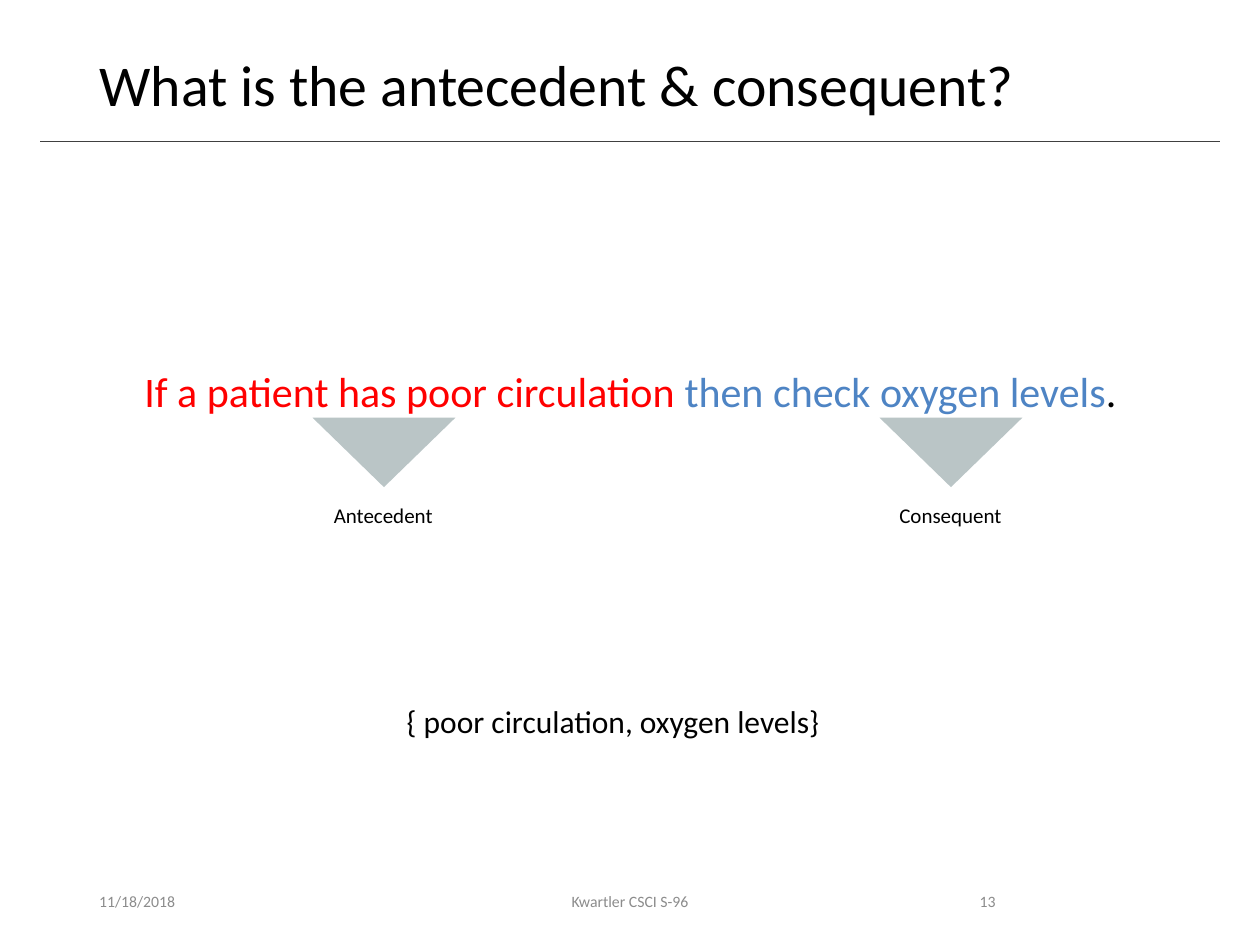
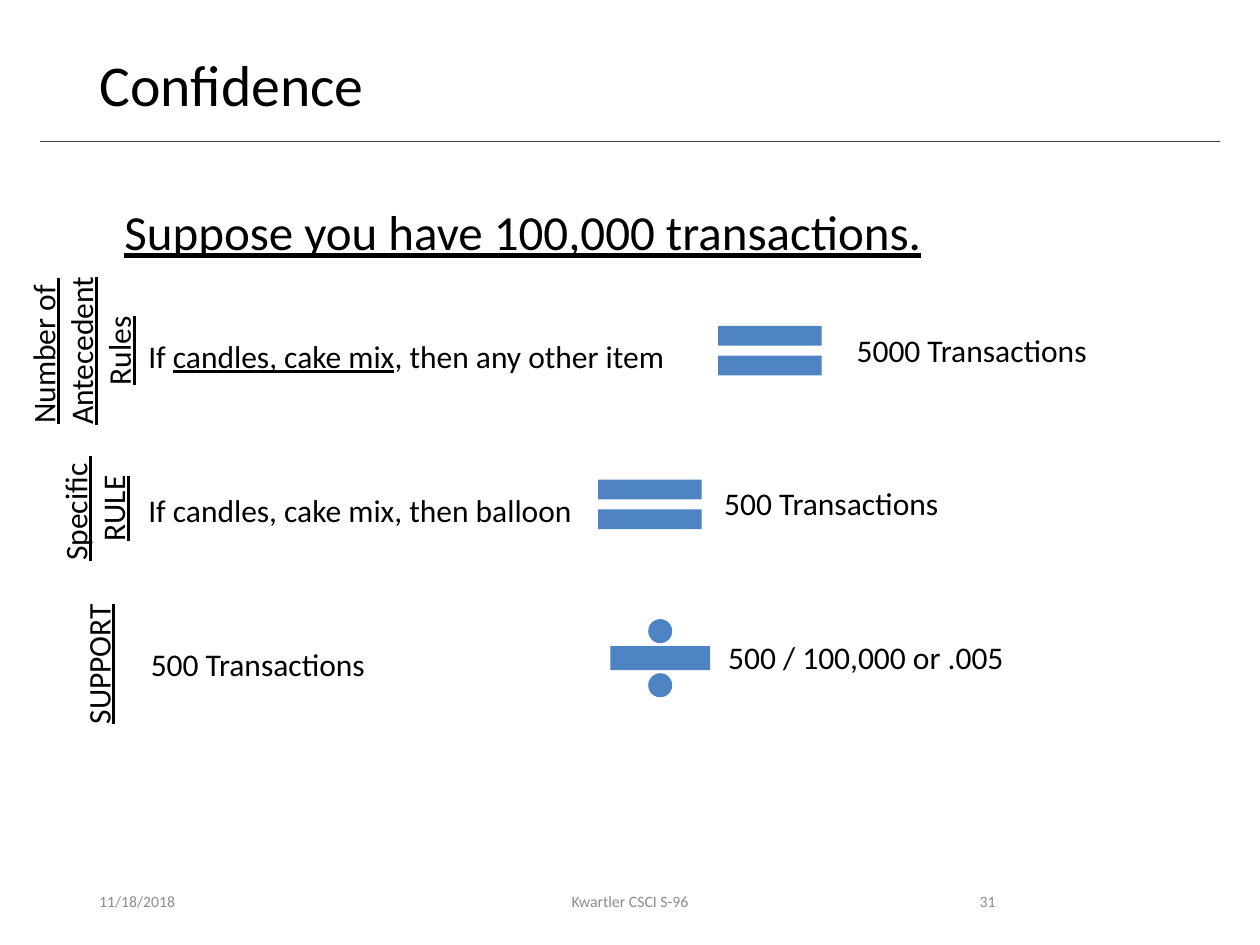
from lxml import etree
from pptx import Presentation
from pptx.dml.color import RGBColor
from pptx.enum.shapes import MSO_CONNECTOR, MSO_SHAPE
from pptx.enum.text import MSO_ANCHOR, PP_ALIGN
from pptx.oxml.ns import qn
from pptx.util import Cm, Pt

LEFT, CENTER, RIGHT = PP_ALIGN.LEFT, PP_ALIGN.CENTER, PP_ALIGN.RIGHT
TOP, MIDDLE = MSO_ANCHOR.TOP, MSO_ANCHOR.MIDDLE
TRIANGLE = MSO_SHAPE.ISOSCELES_TRIANGLE
EQUALS, DIVIDE = MSO_SHAPE.MATH_EQUAL, MSO_SHAPE.MATH_DIVIDE

BLACK = RGBColor(0x00, 0x00, 0x00)
RED = RGBColor(0xFF, 0x00, 0x00)
BLUE = RGBColor(0x4E, 0x84, 0xC4)
PALE_GRAY = RGBColor(0xBA, 0xC5, 0xC6)
FOOTER_GRAY = RGBColor(0x8C, 0x8C, 0x8C)
RULE_GRAY = RGBColor(0x40, 0x40, 0x40)
FONT = "Calibri"

SLIDE_WIDTH, SLIDE_HEIGHT = 25.4, 19.05
MARGIN, RULE_MARGIN, RULE_TOP = 1.75, 0.81, 2.85
TITLE_BOX = (MARGIN, 1.02, 21.9, 1.65)
FOOTER_TOP, LINE_HEIGHT = 17.65, 1.02

DATE, COURSE = "11/18/2018", "Kwartler CSCI S-96"

RULE_SENTENCE = [
    ("If a patient has poor circulation ", RED, False),
    ("then check oxygen levels", BLUE, False),
    (".", BLACK, False),
]
ITEM_SET = "{ poor circulation, oxygen levels}"
CALLOUTS = [("Antecedent", 7.74, 6.48, 2.51), ("Consequent", 19.17, 17.88, 2.59)]

PREMISE = "Suppose you have 100,000 transactions."
FIRST_ROW, ROW_PITCH = 7.05, 3.1
ROWS = [
    {
        "label": ["Number of ", "Antecedent", "Rules"],
        "label_box": (1.64, 7.07, 3.53, 2.57),
        "statement": [("If ", BLACK, False), ("candles, cake mix", BLACK, True),
                      (", then any other item", BLACK, False)],
        "statement_span": (2.74, 11.05),
        "symbol": (EQUALS, 14.1, 2.84, 1.7),
        "result": ("5000 Transactions", 17.02, 5.21),
    },
    {
        "label": ["Specific ", "RULE"],
        "label_box": (1.9, 10.25, 2.64, 1.8),
        "statement": [("If candles, cake mix, then balloon", BLACK, False)],
        "statement_span": (2.74, 9.14),
        "symbol": (EQUALS, 11.68, 2.84, 1.7),
        "result": ("500 Transactions", 14.35, 4.88),
    },
    {
        "label": ["SUPPORT"],
        "label_box": (1.98, 13.39, 2.95, LINE_HEIGHT),
        "statement": [("500 Transactions", BLACK, False)],
        "statement_span": (2.79, 5.03),
        "symbol": (DIVIDE, 11.94, 2.74, 2.06),
        "result": ("500 / 100,000 or .005", 14.43, 6.12),
    },
]


def plain(text, color=BLACK, underline=False):
    """Return a paragraph made of one run."""
    return [(text, color, underline)]


def add_text(shapes, box, paragraphs, size, align=LEFT, anchor=TOP, wrap=False):
    """Add a text box holding paragraphs of (text, color, underline) runs."""
    shape = shapes.add_textbox(*map(Cm, box))
    frame = shape.text_frame
    frame.word_wrap = wrap
    frame.vertical_anchor = anchor
    for index, runs in enumerate(paragraphs):
        paragraph = frame.add_paragraph() if index else frame.paragraphs[0]
        paragraph.alignment = align
        for text, color, underline in runs:
            run = paragraph.add_run()
            run.text = text
            run.font.name = FONT
            run.font.size = Pt(size)
            run.font.color.rgb = color
            run.font.underline = underline
    return shape


def add_solid(shapes, kind, box, color):
    """Add a flat filled shape without outline."""
    shape = shapes.add_shape(kind, *map(Cm, box))
    shape.shadow.inherit = False
    shape.fill.solid()
    shape.fill.fore_color.rgb = color
    shape.line.fill.background()
    return shape


def add_base_slide(presentation, title, number):
    """Add a slide with its title, rule and footers."""
    slide = presentation.slides.add_slide(presentation.slide_layouts[5])
    rule = slide.shapes.add_connector(
        MSO_CONNECTOR.STRAIGHT, Cm(RULE_MARGIN), Cm(RULE_TOP),
        Cm(SLIDE_WIDTH - RULE_MARGIN), Cm(RULE_TOP))
    rule.line.color.rgb = RULE_GRAY
    rule.line.width = Pt(0.5)
    etree.SubElement(rule._element.spPr, qn("a:effectLst"))

    heading = slide.shapes.title
    heading.left, heading.top, heading.width, heading.height = map(Cm, TITLE_BOX)
    heading.text_frame.text = title
    heading.text_frame.vertical_anchor = TOP
    paragraph = heading.text_frame.paragraphs[0]
    paragraph.alignment = LEFT
    paragraph.line_spacing = 0.9
    font = paragraph.runs[0].font
    font.name, font.size = FONT, Pt(33)
    font.color.rgb = BLACK

    footers = [(DATE, MARGIN, 5.72, LEFT), (COURSE, 8.41, 8.58, CENTER),
               (str(number), 17.93, 2.39, RIGHT)]
    for text, left, width, align in footers:
        add_text(slide.shapes, (left, FOOTER_TOP, width, LINE_HEIGHT),
                 [plain(text, FOOTER_GRAY)], 9, align, MIDDLE, True)
    return slide


def build_rule_slide(presentation):
    """Build the slide naming both parts of a rule."""
    slide = add_base_slide(presentation, "What is the antecedent & consequent?", 13)
    add_text(slide.shapes, (MARGIN, 7.24, 21.92, 1.27), [RULE_SENTENCE], 24, CENTER, wrap=True)
    add_text(slide.shapes, (7.95, 14.02, 9.07, LINE_HEIGHT), [plain(ITEM_SET)], 18)
    for name, center, name_left, name_width in CALLOUTS:
        shapes = slide.shapes.add_group_shape().shapes
        add_text(shapes, (name_left, 10.01, name_width, 0.76), [plain(name)], 12)
        pointer = add_solid(shapes, TRIANGLE, (center - 1.44, 8.42, 2.88, 1.4), PALE_GRAY)
        pointer.rotation = 180


def build_confidence_slide(presentation):
    """Build the slide counting transactions row by row."""
    slide = add_base_slide(presentation, "Confidence", 31)
    shapes = slide.shapes
    add_text(shapes, (2.26, 3.94, 16.79, 1.45), [plain(PREMISE, underline=True)], 28)
    for index, row in enumerate(ROWS):
        middle = FIRST_ROW + index * ROW_PITCH
        text_top = middle - LINE_HEIGHT / 2

        center_x, center_y, width, height = row["label_box"]
        label = add_text(shapes, (center_x - width / 2, center_y - height / 2, width, height),
                         [plain(line, underline=True) for line in row["label"]], 18, CENTER)
        label.rotation = 270

        left, width = row["statement_span"]
        add_text(shapes, (left, text_top + 0.13, width, LINE_HEIGHT), [row["statement"]], 18)

        text, left, width = row["result"]
        add_text(shapes, (left, text_top, width, LINE_HEIGHT), [plain(text)], 18)

        kind, left, width, height = row["symbol"]
        add_solid(shapes, kind, (left, middle + 0.02 - height / 2, width, height), BLUE)


def main():
    """Create the presentation and save it."""
    presentation = Presentation()
    presentation.slide_width = Cm(SLIDE_WIDTH)
    presentation.slide_height = Cm(SLIDE_HEIGHT)
    build_rule_slide(presentation)
    build_confidence_slide(presentation)
    presentation.save("out.pptx")


if __name__ == "__main__":
    main()
